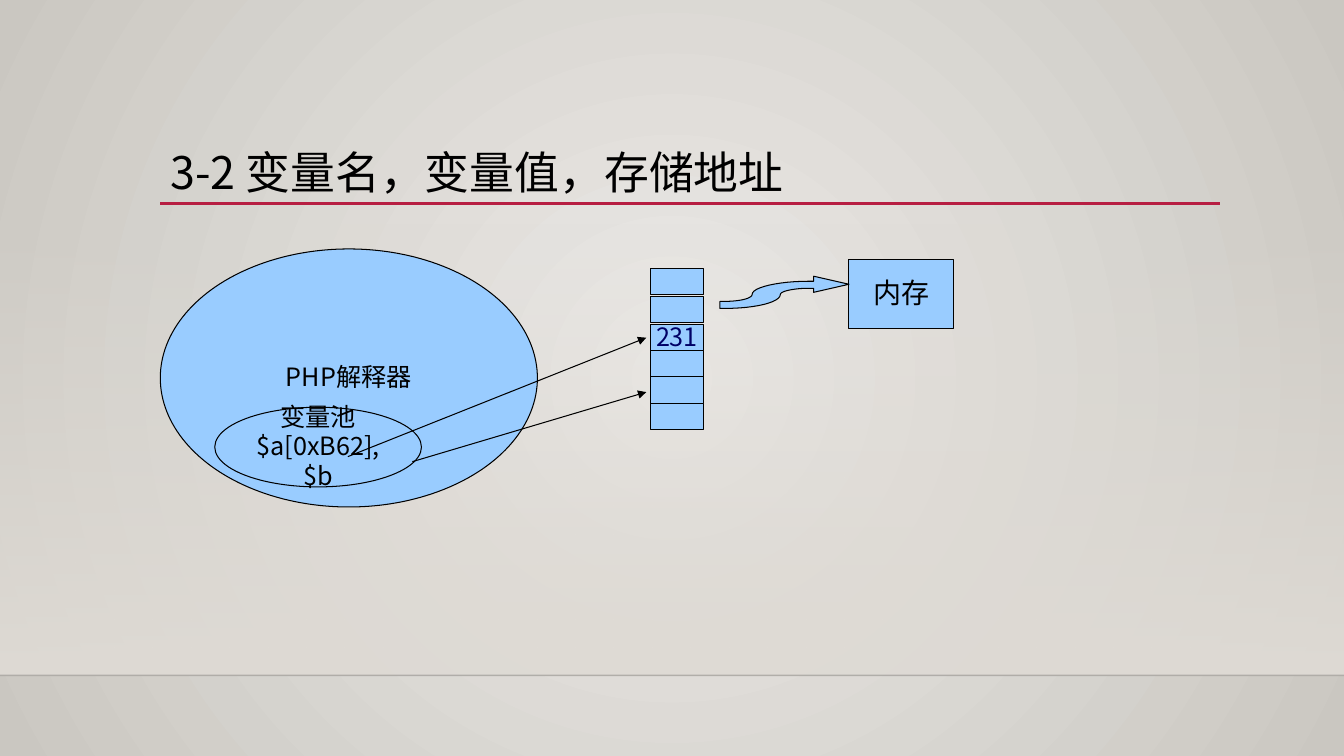
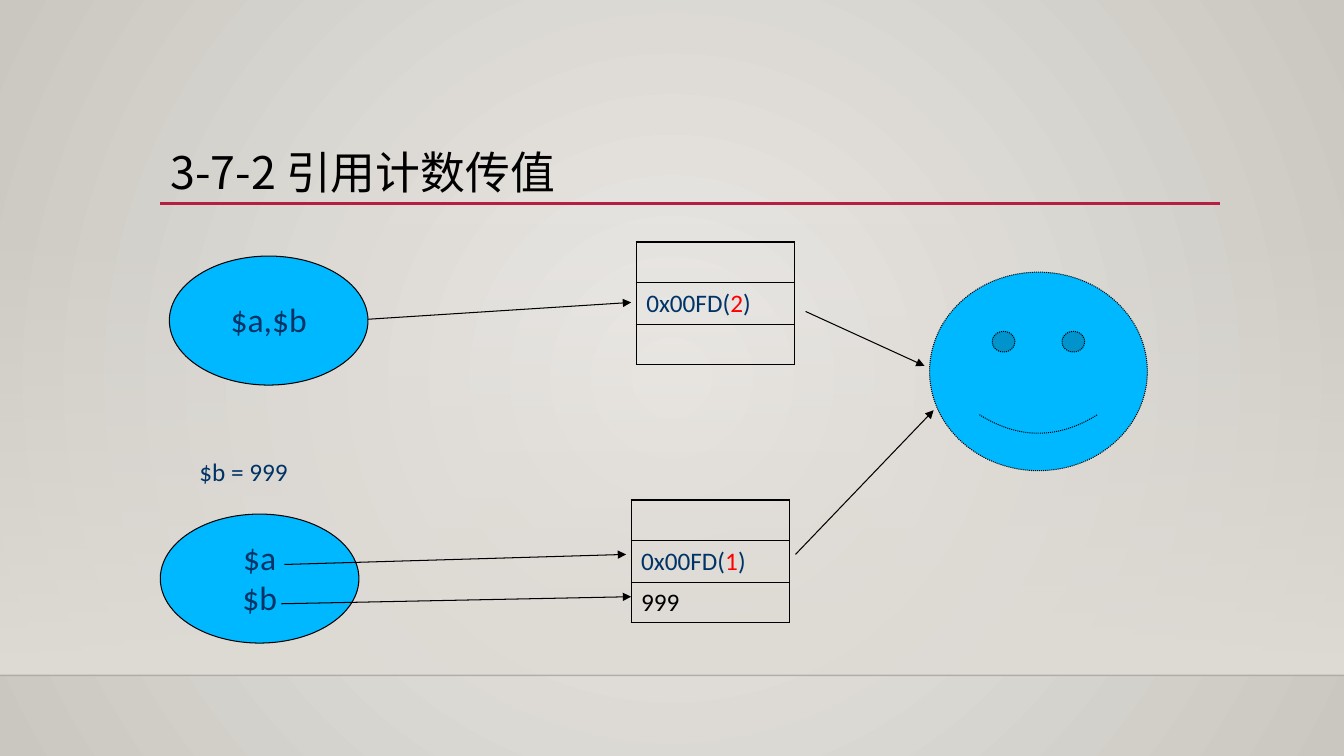
from dataclasses import dataclass

from lxml import etree
from pptx import Presentation
from pptx.dml.color import RGBColor
from pptx.enum.dml import MSO_LINE
from pptx.enum.shapes import MSO_CONNECTOR, MSO_SHAPE
from pptx.enum.text import MSO_ANCHOR, PP_ALIGN
from pptx.oxml.ns import qn
from pptx.util import Inches, Pt

RECT, OVAL, SMILEY = MSO_SHAPE.RECTANGLE, MSO_SHAPE.OVAL, MSO_SHAPE.SMILEY_FACE
STRAIGHT = MSO_CONNECTOR.STRAIGHT
DOTS = MSO_LINE.ROUND_DOT
MIDDLE, TOP = MSO_ANCHOR.MIDDLE, MSO_ANCHOR.TOP
LEFT, CENTER = PP_ALIGN.LEFT, PP_ALIGN.CENTER


@dataclass(frozen=True)
class Theme:
    ink: str = "000000"
    navy: str = "003366"
    value: str = "000066"
    count: str = "FF0000"
    rule: str = "B71E42"
    pale: str = "99CCFF"
    bright: str = "00B8FF"
    inner: str = "ECEAE7"
    outer: str = "CAC7C1"
    band: str = "DFDBD5"
    cjk: str = "Noto Sans CJK SC"
    latin: str = "Calibri"
    title: int = 32
    large: int = 24
    label: int = 20
    body: int = 18
    thin: float = 0.75
    lead: float = 0.98


T = Theme()


# Colour and XML helpers
def rgb(code):
    return RGBColor.from_string(code)


def add(parent, tag, **attrs):
    return etree.SubElement(parent, qn(tag), attrs)


def fade(node, percent):
    """Set the opacity of the first colour below a node."""
    color = next(node.iter(qn("a:srgbClr")))
    add(color, "a:alpha", val=str(percent * 1000))


def blend(fill, first, last):
    fill.gradient()
    for stop, code, place in zip(fill.gradient_stops, (first, last), (0, 1)):
        stop.color.rgb = rgb(code)
        stop.position = place


# Text
def write(frame, paras, size, font, align=LEFT, lead=T.lead):
    """Each paragraph is a list of (text, colour) runs."""
    for i, runs in enumerate(paras):
        para = frame.paragraphs[0] if i == 0 else frame.add_paragraph()
        para.alignment = align
        para.line_spacing = lead
        for text, color in runs:
            run = para.add_run()
            run.text = text
            run.font.size = Pt(size)
            run.font.name = font
            run.font.color.rgb = rgb(color)
            add(run.font._element, "a:ea", typeface=font)


def label(slide, box, text, size, font, color, anchor=TOP, lead=T.lead):
    frame = slide.shapes.add_textbox(*map(Inches, box)).text_frame
    frame.word_wrap = True
    frame.vertical_anchor = anchor
    write(frame, [[(text, color)]], size, font, lead=lead)


# Shapes and lines
def paint(shape, fill):
    shape.shadow.inherit = False
    shape.fill.solid()
    shape.fill.fore_color.rgb = rgb(fill)
    shape.line.color.rgb = rgb(T.ink)
    shape.line.width = Pt(T.thin)


def node(slide, kind, box, fill, lines=(), size=T.body, font=T.cjk,
         color=T.ink, wrap=True):
    shape = slide.shapes.add_shape(kind, *map(Inches, box))
    paint(shape, fill)
    frame = shape.text_frame
    frame.word_wrap = wrap
    frame.vertical_anchor = MIDDLE
    write(frame, [[(line, color)] for line in lines], size, font, CENTER)
    return shape


def line(slide, start, end, color=T.ink, width=T.thin):
    link = slide.shapes.add_connector(STRAIGHT, *map(Inches, start + end))
    link.line.color.rgb = rgb(color)
    link.line.width = Pt(width)
    add(link._element.spPr, "a:effectLst")
    return link


def arrow(slide, start, end):
    link = line(slide, start, end)
    tail = etree.Element(qn("a:tailEnd"), type="triangle")
    link.line._get_or_add_ln().append(tail)


def curve(p0, p1, p2, p3, steps=12):
    """Points along a cubic curve, without its start."""
    points = []
    for i in range(1, steps + 1):
        t = i / steps
        u = 1 - t
        points.append(tuple(
            u**3 * a + 3 * u * u * t * b + 3 * u * t * t * c + t**3 * d
            for a, b, c, d in zip(p0, p1, p2, p3)))
    return points


def ribbon(slide):
    """Wavy arrow from the cells to the memory box."""
    start = (8.02, 2.79)
    points = curve(start, (7.72, 2.79), (7.46, 2.85), (7.46, 2.92))
    points += curve((7.46, 2.92), (7.46, 2.96), (7.34, 2.99), (7.18, 2.99))
    points += [(7.14, 2.99), (7.14, 3.06), (7.18, 3.06)]
    points += curve((7.18, 3.06), (7.49, 3.06), (7.74, 3), (7.74, 2.92))
    points += curve((7.74, 2.92), (7.74, 2.89), (7.87, 2.86), (8.02, 2.86))
    points += [(8.07, 2.86), (8.07, 2.9), (8.42, 2.82), (8.07, 2.74),
               (8.07, 2.79)]
    pen = slide.shapes.build_freeform(*map(Inches, start))
    pen.add_line_segments([tuple(map(Inches, p)) for p in points], close=True)
    paint(pen.convert_to_shape(), T.pale)


# Tables
def edge(cell):
    props = cell._tc.get_or_add_tcPr()
    for i, side in enumerate(("a:lnL", "a:lnR", "a:lnT", "a:lnB")):
        ln = etree.Element(qn(side), w=str(Pt(1)))
        add(add(ln, "a:solidFill"), "a:srgbClr", val=T.ink)
        props.insert(i, ln)


def memory(slide, left, top, rows):
    heights = (0.4, 0.42, 0.4)
    box = (left, top, 1.57, sum(heights))
    table = slide.shapes.add_table(3, 1, *map(Inches, box)).table
    table.first_row = table.horz_banding = False
    for i, (height, runs) in enumerate(zip(heights, rows)):
        table.rows[i].height = Inches(height)
        cell = table.cell(i, 0)
        cell.margin_top = cell.margin_bottom = Inches(0.04)
        cell.vertical_anchor = MIDDLE
        cell.fill.background()
        edge(cell)
        write(cell.text_frame, [runs], T.body, T.latin)


def address(count):
    return [("0x00FD(", T.navy), (count, T.count), (")", T.navy)]


# Shared look
def backdrop(prs):
    fill = prs.slide_master.background.fill
    blend(fill, T.inner, T.outer)
    grad = next(prs.slide_master._element.iter(qn("a:gradFill")))
    grad.remove(grad.find(qn("a:lin")))
    ring = add(grad, "a:path", path="circle")
    add(ring, "a:fillToRect", l="50000", t="50000", r="50000", b="50000")


def page(prs, title):
    slide = prs.slides.add_slide(prs.slide_layouts[6])
    band = slide.shapes.add_shape(
        RECT, *map(Inches, (0, 2.21, 13.33, 4.49)))
    band.shadow.inherit = False
    band.line.fill.background()
    blend(band.fill, T.band, T.band)
    band.fill.gradient_angle = 270
    fade(band._element.spPr, 0)
    floor = line(slide, (0, 6.7), (13.33, 6.7), width=1)
    fade(floor._element.spPr, 20)
    line(slide, (1.59, 2.02), (12.1, 2.02), T.rule, 2.5)
    label(slide, (1.59, 1.44, 10.5, 0.59), title, T.title, T.cjk, T.ink,
          MIDDLE, 0.9)
    return slide


# Slides
def storage(prs):
    slide = page(prs, "3-2 变量名，变量值，存储地址")
    node(slide, OVAL, (1.59, 2.47, 3.74, 2.56), T.pale, ["PHP解释器"])
    node(slide, OVAL, (2.13, 4.04, 2.05, 0.79), T.pale,
         ["变量池", "$a[0xB62],$b"])
    # Memory cells: three spaced, three touching
    tops = [2.66 + 0.28 * i for i in range(3)]
    tops += [3.48 + 0.26 * i for i in range(3)]
    for i, top in enumerate(tops):
        node(slide, RECT, (6.45, top, 0.53, 0.26), T.pale,
             ["231"] if i == 2 else [], color=T.value, wrap=False)
    node(slide, RECT, (8.42, 2.57, 1.04, 0.69), T.pale, ["内存"], T.label)
    ribbon(slide)
    arrow(slide, (4.09, 4.58), (6.41, 3.89))
    arrow(slide, (3.45, 4.53), (6.41, 3.35))


def counting(prs):
    slide = page(prs, "3-7-2 引用计数传值")
    face = node(slide, SMILEY, (9.22, 2.7, 2.16, 1.97), T.bright)
    face.line.dash_style = DOTS
    # Before the assignment
    arrow(slide, (3.45, 3.18), (6.26, 3))
    node(slide, OVAL, (1.68, 2.54, 1.97, 1.28), T.bright, ["$a,$b"],
         T.large, T.latin, T.navy)
    memory(slide, 6.31, 2.4, [[], address("2"), []])
    arrow(slide, (7.99, 3.09), (9.17, 3.63))
    # After the assignment
    label(slide, (1.88, 4.49, 1.39, 0.39), "$b = 999", T.body, T.latin, T.navy)
    node(slide, OVAL, (1.59, 5.1, 1.97, 1.28), T.bright, ["$a", "$b"],
         T.large, T.latin, T.navy)
    memory(slide, 6.26, 4.96, [[], address("1"), [("999", T.ink)]])
    arrow(slide, (7.89, 5.5), (9.26, 4.07))
    arrow(slide, (2.82, 5.6), (6.21, 5.5))
    arrow(slide, (2.79, 5.99), (6.26, 5.92))


def main():
    prs = Presentation()
    prs.slide_width, prs.slide_height = Inches(13.33), Inches(7.5)
    backdrop(prs)
    storage(prs)
    counting(prs)
    prs.save("out.pptx")


if __name__ == "__main__":
    main()
